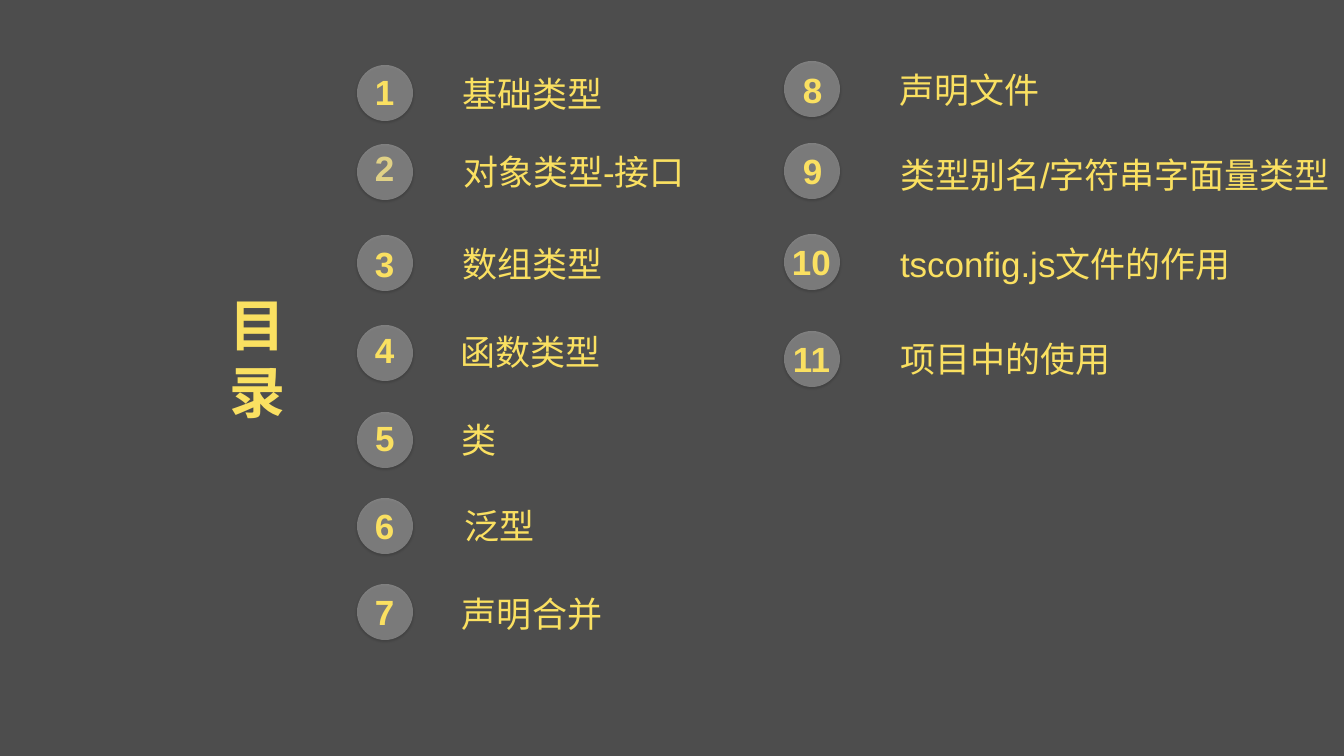
from lxml import etree
from pptx import Presentation, util as u
from pptx.dml.color import RGBColor
from pptx.enum import shapes, text
from pptx.oxml.ns import qn

GREY = RGBColor(0x4D, 0x4D, 0x4D)
WHITE = RGBColor(0xFF, 0xFF, 0xFF)
GOLD = RGBColor(0xFA, 0xE0, 0x61)
SCALE = 914400 / 50.4  # EMU in one px
DISC = 56
PAD = 3

# Per column: disc left, then
# (disc top, number, number box, topic, topic box, topic inset)
COLS = [
    (357, [
        (65, "1", (372, 65, 26, 53), "基础类型", (463, 72, 151, 42), 0),
        (144, "2", (372, 141, 26, 53), "对象类型-接口", (463, 150, 224, 42), 0),
        (235, "3", (372, 237, 26, 53), "数组类型", (463, 243, 141, 42), 0),
        (325, "4", (372, 323, 26, 53), "函数类型", (461, 331, 141, 42), 0),
        (412, "5", (372, 413, 13, 48), "类", (461, 418, 169, 42), 0),
        (498, "6", (372, 502, 26, 48), "泛型", (461, 501, 129, 48), PAD),
        (584, "7", (372, 588, 41, 48), "声明合并", (459, 590, 170, 48), PAD),
    ]),
    (784, [
        (61, "8", (800, 65, 28, 48), "声明文件", (897, 65, 192, 48), PAD),
        (143, "9", (800, 147, 39, 48), "类型别名/字符串字面量类型",
         (897, 129, 447, 90), PAD),
        (234, "10", (789, 237, 78, 49), "tsconfig.js文件的作用",
         (897, 239, 427, 48), PAD),
        (331, "11", (790, 335, 67, 48), "项目中的使用", (897, 334, 255, 48), PAD),
    ]),
]
VEILED = "2"  # this number lies under its disc


def px(n):
    return u.Emu(round(n * SCALE))


def write(slide, words, box, size=50, bold=False, pad=PAD):
    frame = slide.shapes.add_textbox(*map(px, box)).text_frame
    frame.word_wrap = True
    frame.auto_size = text.MSO_AUTO_SIZE.SHAPE_TO_FIT_TEXT
    frame.vertical_anchor = text.MSO_ANCHOR.MIDDLE
    frame.margin_left = frame.margin_right = px(pad)
    frame.margin_top = frame.margin_bottom = px(pad)
    run = frame.paragraphs[0].add_run()
    run.text = words
    run.font.name = "Arial"
    run.font.size = u.Pt(size)
    run.font.bold = bold
    run.font.color.rgb = GOLD


def fade(color, percent):
    etree.SubElement(color, qn("a:alpha"), val=str(percent * 1000))


def add_disc(slide, left, top):
    disc = slide.shapes.add_shape(
        shapes.MSO_SHAPE.OVAL, px(left), px(top), px(DISC), px(DISC))
    disc.fill.solid()
    disc.fill.fore_color.rgb = WHITE
    disc.line.fill.background()
    disc.shadow.inherit = False
    props = disc.element.spPr
    fade(props.find(qn("a:solidFill")).find(qn("a:srgbClr")), 30)
    # Soft shadow straight down
    cast = etree.SubElement(
        props.find(qn("a:effectLst")), qn("a:outerShdw"),
        blurRad=str(u.Pt(3)), dist=str(u.Pt(2)), dir=str(90 * 60000),
        rotWithShape="0")
    fade(etree.SubElement(cast, qn("a:srgbClr"), val="000000"), 50)


def main():
    deck = Presentation()
    deck.slide_width, deck.slide_height = px(1344), px(756)
    slide = deck.slides.add_slide(deck.slide_layouts[6])
    slide.background.fill.solid()
    slide.background.fill.fore_color.rgb = GREY

    # Title
    write(slide, "目录", (226, 277, 83, 162), size=80, bold=True)

    # Numbered topics
    for left, rows in COLS:
        for top, num, spot, topic, box, pad in rows:
            if num != VEILED:
                add_disc(slide, left, top)
            write(slide, num, spot, bold=True)
            if num == VEILED:
                add_disc(slide, left, top)
            write(slide, topic, box, pad=pad)

    deck.save("out.pptx")


if __name__ == "__main__":
    main()
